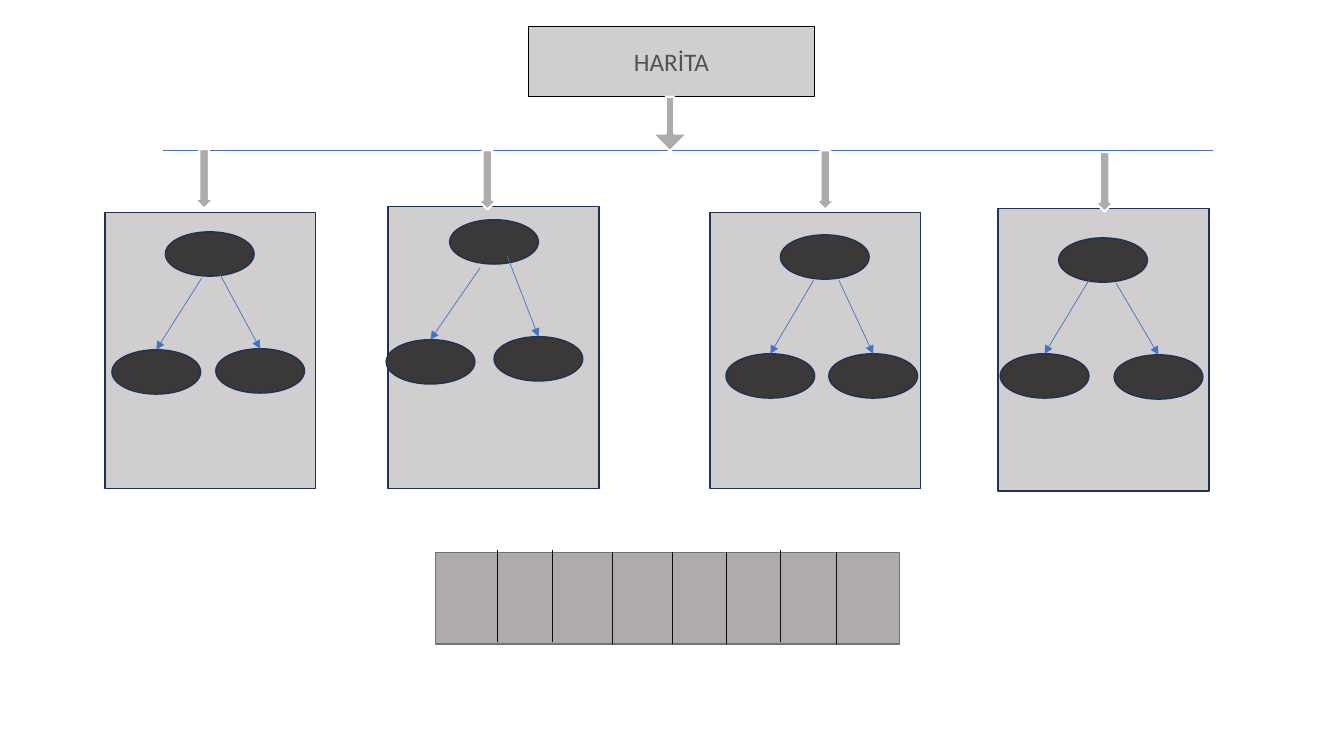
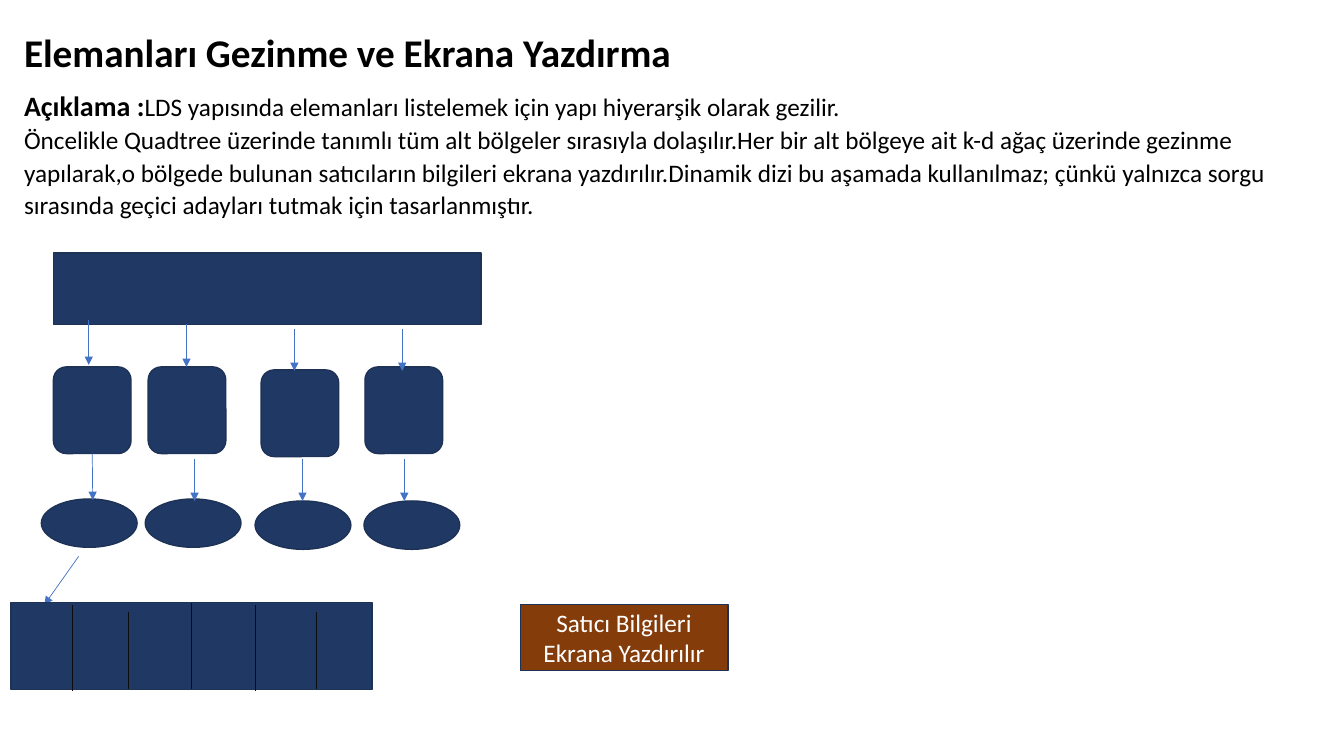
from pptx import Presentation
from pptx import util as u
from pptx.dml.color import RGBColor
from pptx.enum import shapes, text
from pptx.oxml.ns import qn
from lxml import etree

FONT = "Calibri"
BLACK, WHITE, NAVY_LINE, LINK = "000000", "FFFFFF", "1E3256", "4472C4"
LIGHT, GREY, GREY_LINE, DARK = "D0CECE", "AFABAB", "767171", "3B3838"
TEXT_GREY, NAVY, BROWN, DIVIDER = "525252", "203864", "843C0B", "0D0D0D"

KIND = shapes.MSO_SHAPE
TOP, BOTTOM = 0, 2  # connection sites

# Map regions: box (left, top, height), arrow (left, top), root, links and leaves
REGIONS = [
    dict(box=(1.04, 2.11, 2.74), arrow=(1.93, 1.48), root=(1.64, 2.3),
         links=[(2, 2.76), (2.18, 2.72)], leaves=[(1.11, 3.47), (2.14, 3.46)]),
    dict(box=(3.85, 2.05, 2.8), arrow=(4.74, 1.49), root=(4.46, 2.18),
         links=[(4.76, 2.66), (5.03, 2.54)], leaves=[(3.83, 3.37), (4.9, 3.34)]),
    dict(box=(7.04, 2.11, 2.74), arrow=(8.09, 1.49), root=(7.74, 2.33),
         links=[(8.07, 2.78), (8.32, 2.78)], leaves=[(7.2, 3.51), (8.22, 3.51)]),
    dict(box=(9.9, 2.07, 2.8), arrow=(10.86, 1.51), root=(10.5, 2.36),
         links=[(10.8, 2.78), (11.07, 2.81)], leaves=[(9.92, 3.51), (11.05, 3.52)]),
]
# Array dividers: x, top, bottom
MAP_DIVIDERS = [(4.93, 5.46, 6.37), (5.48, 5.46, 6.37), (6.07, 5.48, 6.39),
                (6.67, 5.48, 6.39), (7.2, 5.48, 6.39), (7.74, 5.46, 6.37),
                (8.3, 5.48, 6.39)]
LIST_DIVIDERS = [(0.72, 6, 6.86), (1.27, 6.07, 6.84),
                 (2.53, 6, 6.86), (3.14, 6.07, 6.84)]
# Traversal columns: region corner, node corner, arrow in (x, top, bottom)
COLUMNS = [
    ((0.53, 3.64), (0.41, 4.95), (0.88, 3.17, 3.62)),
    ((1.47, 3.64), (1.44, 4.95), (1.85, 3.21, 3.64)),
    ((2.59, 3.67), (2.53, 4.97), (2.92, 3.26, 3.68)),
    ((3.62, 3.64), (3.61, 4.97), (3.99, 3.26, 3.68)),
]
NODE_ARROWS = [1.93, 3, 4.01]  # x of the arrows below the later regions


def color(code):
    return RGBColor.from_string(code)


def add_text(para, words, size=18, ink=BLACK, bold=False):
    """Add words to a paragraph; a newline becomes a line break."""
    for number, part in enumerate(words.split("\n")):
        if number:
            para.add_line_break()
        span = para.add_run()
        span.text = part
        span.font.name, span.font.size = FONT, u.Pt(size)
        span.font.bold, span.font.color.rgb = bold, color(ink)


def add_box(page, kind, at, fill, line=NAVY_LINE, width=1, lines=(), ink=WHITE):
    box = page.shapes.add_shape(kind, *map(u.Inches, at))
    box.shadow.inherit = False
    box.fill.solid()
    box.fill.fore_color.rgb = color(fill)
    box.line.color.rgb, box.line.width = color(line), u.Pt(width)
    frame = box.text_frame
    frame.vertical_anchor = text.MSO_ANCHOR.MIDDLE
    for number, words in enumerate(lines):
        para = frame.add_paragraph() if number else frame.paragraphs[0]
        para.alignment = text.PP_ALIGN.CENTER
        add_text(para, words, ink=ink)
    return box


def add_line(page, start, end, ink=LINK, arrow=False):
    """Draw a line; each end is a point or a (shape, site) pair."""
    joined = [not isinstance(stop[0], (int, float)) for stop in (start, end)]
    points = [(0, 0) if join else stop for join, stop in zip(joined, (start, end))]
    line = page.shapes.add_connector(
        shapes.MSO_CONNECTOR.STRAIGHT, *[u.Inches(n) for point in points for n in point])
    if joined[0]:
        line.begin_connect(*start)
    if joined[1]:
        line.end_connect(*end)
    line.line.color.rgb, line.line.width = color(ink), u.Pt(0.5)
    if arrow:
        etree.SubElement(line.line._get_or_add_ln(), qn("a:tailEnd"), type="triangle")
    etree.SubElement(line._element.spPr, qn("a:effectLst"))


def add_down_arrow(page, at, shaft=0.5):
    arrow = add_box(page, KIND.DOWN_ARROW, at, GREY, WHITE, 1.5)
    arrow.adjustments[0] = shaft
    arrow.adjustments[1] = 0.5


def add_dividers(page, dividers):
    for x, top, bottom in dividers:
        add_line(page, (x, top), (x, bottom), DIVIDER)


def add_tree(page, region):
    """Draw one map region with its three-node tree."""
    left, top, height = region["box"]
    add_box(page, KIND.RECTANGLE, (left, top, 2.09, height), LIGHT)
    add_box(page, KIND.OVAL, (*region["root"], 0.88, 0.44), DARK)
    for start, corner in zip(region["links"], region["leaves"]):
        leaf = add_box(page, KIND.OVAL, (*corner, 0.88, 0.44), DARK)
        add_line(page, start, (leaf, TOP), arrow=True)
    add_down_arrow(page, (*region["arrow"], 0.19, 0.59))


def build_map(page):
    # Map heading and trunk
    add_box(page, KIND.RECTANGLE, (5.24, 0.26, 2.84, 0.7), LIGHT, BLACK, 0.5,
            ["HARİTA"], TEXT_GREY)
    add_line(page, (1.62, 1.49), (12.03, 1.49))
    add_down_arrow(page, (6.47, 0.96, 0.35, 0.54), shaft=0.237)
    # Regions
    for region in REGIONS:
        add_tree(page, region)
    # Dynamic array
    add_box(page, KIND.RECTANGLE, (4.32, 5.48, 4.6, 0.91), GREY, GREY_LINE)
    add_dividers(page, MAP_DIVIDERS)


def add_explanation(page):
    box = page.shapes.add_textbox(*map(u.Inches, (0.14, 0.2, 12.66, 7.3)))
    frame = box.text_frame
    frame.word_wrap = True
    title, body = frame.paragraphs[0], frame.add_paragraph()
    for para in (title, body):
        para.line_spacing, para.space_after = 1.07, u.Pt(8)
    add_text(title, "Elemanları Gezinme ve Ekrana Yazdırma", size=28, bold=True)
    add_text(body, "Açıklama :", size=20, bold=True)
    add_text(body, "LDS yapısında elemanları listelemek için yapı hiyerarşik olarak gezilir.\n"
             "Öncelikle Quadtree üzerinde tanımlı tüm alt bölgeler sırasıyla dolaşılır."
             "Her bir alt bölgeye ait k-d ağaç üzerinde gezinme yapılarak,o bölgede bulunan "
             "satıcıların bilgileri ekrana yazdırılır.Dinamik dizi bu aşamada kullanılmaz; "
             "çünkü yalnızca sorgu sırasında geçici adayları tutmak için tasarlanmıştır.")


def build_traversal(page):
    add_explanation(page)
    # Root, regions and nodes
    add_box(page, KIND.RECTANGLE, (0.53, 2.51, 4.24, 0.71), NAVY)
    regions = []
    for region_at, node_at, (x, top, bottom) in COLUMNS:
        regions.append(add_box(page, KIND.ROUNDED_RECTANGLE, (*region_at, 0.77, 0.86), NAVY))
        add_box(page, KIND.OVAL, (*node_at, 0.95, 0.48), NAVY)
        add_line(page, (x, top), (x, bottom), arrow=True)
    add_line(page, (regions[0], BOTTOM), (0.92, 4.96), arrow=True)
    for x in NODE_ARROWS:
        add_line(page, (x, 4.55), (x, 4.97), arrow=True)
    # Array, split at its middle and at the other dividers
    add_line(page, (0.78, 5.52), (0.44, 6), arrow=True)
    array = add_box(page, KIND.RECTANGLE, (0.11, 5.98, 3.58, 0.86), NAVY)
    add_line(page, (array, TOP), (array, BOTTOM), DIVIDER)
    add_dividers(page, LIST_DIVIDERS)
    # Output
    add_box(page, KIND.RECTANGLE, (5.16, 6, 2.06, 0.65), BROWN,
            lines=["Satıcı Bilgileri", "Ekrana Yazdırılır"])


def main():
    deck = Presentation()
    deck.slide_width, deck.slide_height = u.Inches(13.33), u.Inches(7.5)
    for build in (build_map, build_traversal):
        build(deck.slides.add_slide(deck.slide_layouts[6]))
    deck.save("out.pptx")


if __name__ == "__main__":
    main()
